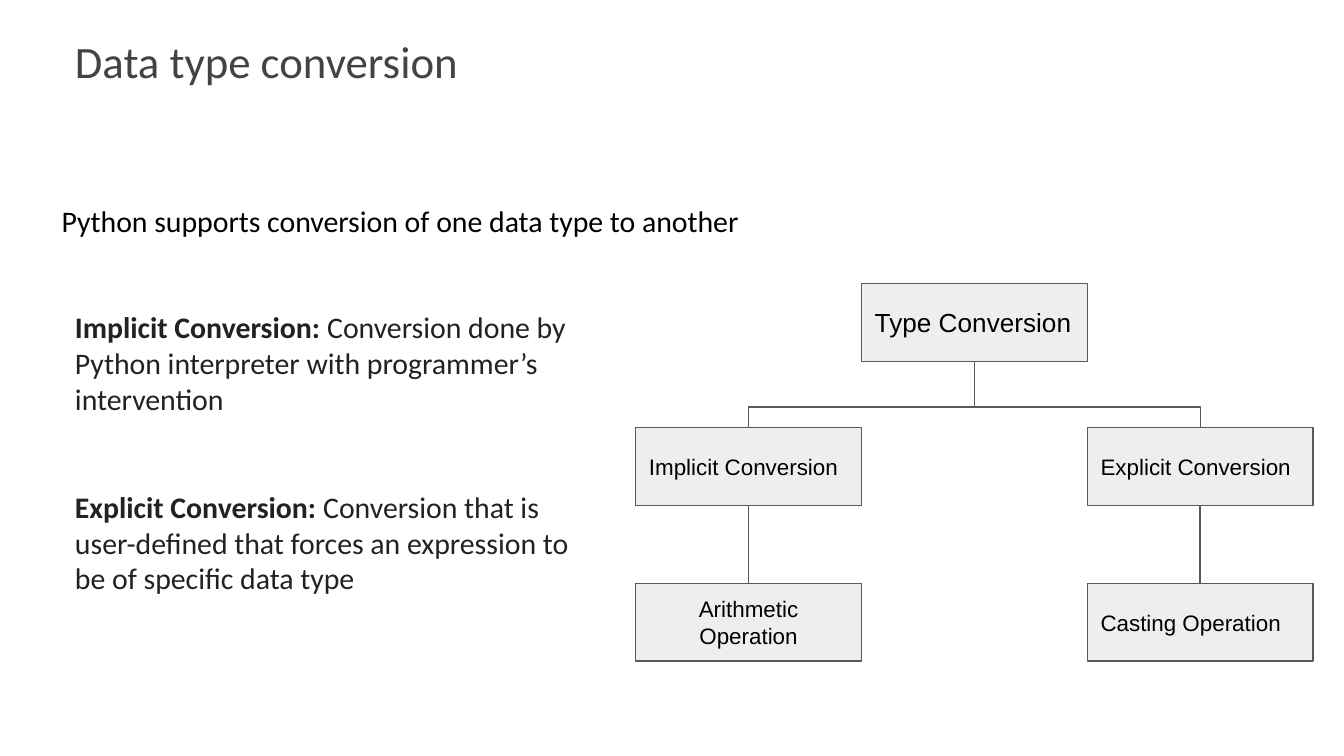
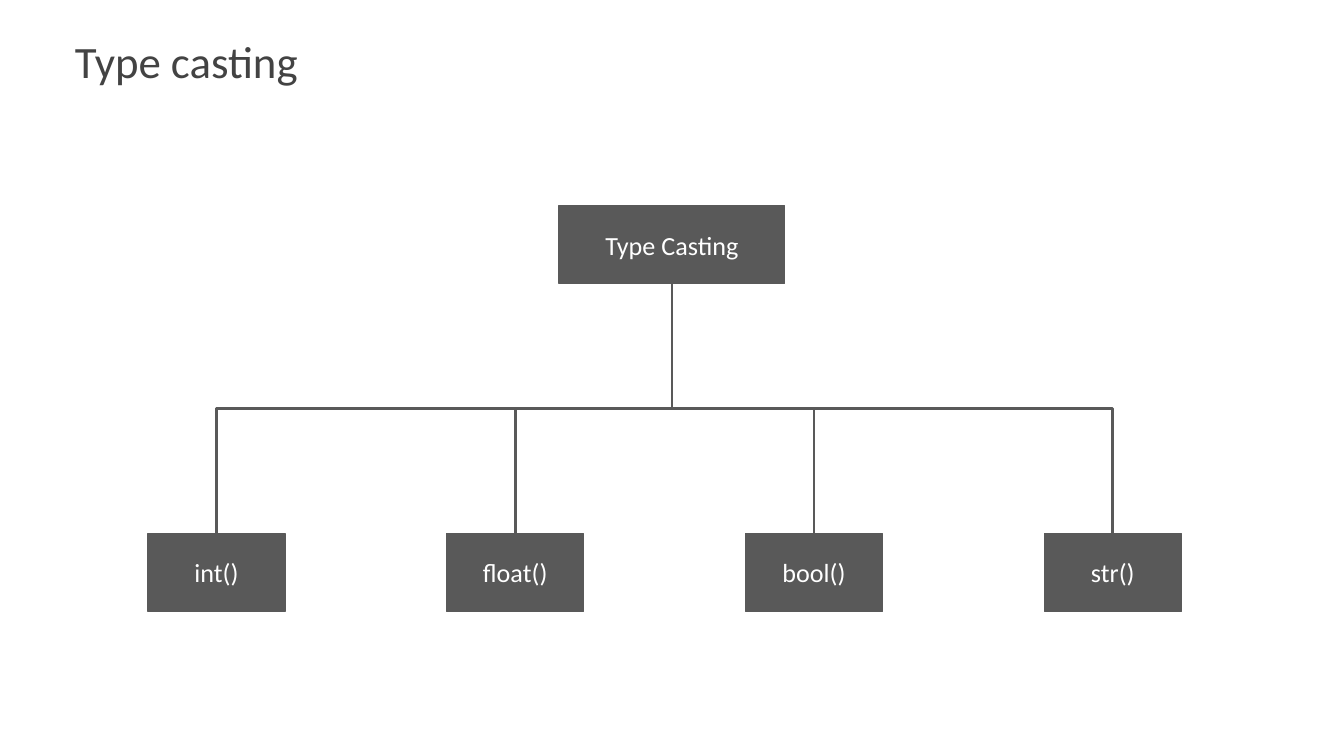
from dataclasses import dataclass

from lxml import etree
from pptx import Presentation
from pptx.dml.color import RGBColor
from pptx.enum.shapes import MSO_CONNECTOR, MSO_SHAPE
from pptx.enum.text import MSO_ANCHOR, PP_ALIGN
from pptx.oxml.ns import qn
from pptx.util import Inches, Pt

RECT = MSO_SHAPE.RECTANGLE
ELBOW, STRAIGHT = MSO_CONNECTOR.ELBOW, MSO_CONNECTOR.STRAIGHT
TOP, MIDDLE = MSO_ANCHOR.TOP, MSO_ANCHOR.MIDDLE
LEFT, CENTER = PP_ALIGN.LEFT, PP_ALIGN.CENTER


@dataclass(frozen=True)
class Theme:
    white: str = "FFFFFF"
    black: str = "000000"
    title: str = "434343"
    ink: str = "222222"
    dark: str = "595959"
    pale: str = "EEEEEE"
    body: str = "Calibri"
    label: str = "Arial"
    head: int = 24
    text: int = 16
    node: int = 14
    small: int = 12
    thin: float = 0.75
    thick: float = 1.5
    inset: float = 0.1


T = Theme()
PAGE_W = 10
PAGE_H = PAGE_W * 9 / 16
NODE_W, NODE_H = 1.68, 0.58


def rgb(code):
    return RGBColor.from_string(code)


def write(frame, *paras, size=T.text, font=T.body, color=T.black,
          align=LEFT, anchor=TOP, gap=0):
    """Each paragraph is a list of (words, bold) runs; gap parts them."""
    frame.word_wrap = True
    frame.vertical_anchor = anchor
    frame.margin_left = frame.margin_right = Inches(T.inset)
    frame.margin_top = frame.margin_bottom = Inches(T.inset)
    for i, runs in enumerate(paras):
        para = frame.add_paragraph() if i else frame.paragraphs[0]
        para.alignment = align
        para.space_before = Pt(gap if i else 0)
        for words, bold in runs:
            run = para.add_run()
            run.text = words
            run.font.size, run.font.name = Pt(size), font
            run.font.bold = bold
            run.font.color.rgb = rgb(color)


def text(slide, box, *paras, **style):
    area = slide.shapes.add_textbox(*map(Inches, box))
    write(area.text_frame, *paras, **style)


def title(slide, words):
    text(slide, (0.46, 0.15, 8.43, 0.58), [(words, False)],
         size=T.head, color=T.title)


def node(shapes, x, y, words, width=NODE_W, fill=T.pale, **style):
    """Draw a labelled box; give back its centre x, top and bottom."""
    box = shapes.add_shape(RECT, *map(Inches, (x, y, width, NODE_H)))
    box.shadow.inherit = False
    box.fill.solid()
    box.fill.fore_color.rgb = rgb(fill)
    box.line.color.rgb = rgb(T.dark)
    box.line.width = Pt(T.thin)
    write(box.text_frame, [(words, False)], anchor=MIDDLE, **style)
    return x + width / 2, y, y + NODE_H


def link(shapes, upper, lower, weight=T.thin, bend=0.5):
    """Join the foot of one node to the top of another."""
    (x1, _, y1), (x2, y2, _) = upper, lower
    bent = abs(x2 - x1) > 0.01
    ends = (x1, y1, x2, y2)
    if bent:
        # An elbow leaves sideways, so lay it flat and turn it upright
        mx, my = (x1 + x2) / 2, (y1 + y2) / 2
        dx, dy = abs(x2 - x1) / 2, (y2 - y1) / 2
        side = 1 if x2 < x1 else -1
        ends = (mx - side * dy, my - dx, mx + side * dy, my + dx)
    line = shapes.add_connector(ELBOW if bent else STRAIGHT,
                                *map(Inches, ends))
    line.line.color.rgb = rgb(T.dark)
    line.line.width = Pt(weight)
    props = line._element.spPr
    etree.SubElement(props, qn("a:effectLst"))
    if bent:
        turn = 90 if x2 < x1 else 270
        props.find(qn("a:xfrm")).set("rot", str(turn * 60000))
        adjust = props.find(qn("a:prstGeom")).find(qn("a:avLst"))
        etree.SubElement(adjust, qn("a:gd"), name="adj1",
                         fmla=f"val {round(bend * 100000)}")


def kinds(slide, left, top):
    """Tree of conversion kinds: a root over two branches."""
    shapes = slide.shapes.add_group_shape().shapes
    root = node(shapes, left + NODE_W, top, "Type Conversion",
                size=T.node, font=T.label)
    branches = (("Implicit Conversion", "Arithmetic Operation", CENTER),
                ("Explicit Conversion", "Casting Operation", LEFT))
    for i, (name, leaf, align) in enumerate(branches):
        x = left + 2 * i * NODE_W
        mid = node(shapes, x, top + 1.07, name, size=T.small, font=T.label)
        end = node(shapes, x, top + 2.23, leaf, size=T.small, font=T.label,
                   align=align)
        link(shapes, root, mid, bend=0.69)
        link(shapes, mid, end)


def casts(slide, left, top, width, height):
    """Tree of cast functions: a root over an even row of leaves."""
    look = dict(fill=T.dark, color=T.white, size=T.node, align=CENTER)
    names = ("int()", "float()", "bool()", "str()")
    leaf = 1.02
    step = (width - leaf) / (len(names) - 1)
    root = node(slide.shapes, left + 3.06, top, "Type Casting", **look)
    for i, name in enumerate(names):
        end = node(slide.shapes, left + i * step, top + height - NODE_H,
                   name, width=leaf, **look)
        link(slide.shapes, root, end, weight=T.thick)


def convert(slide):
    title(slide, "Data type conversion")
    # Lead sentence
    text(slide, (0.36, 1.41, 9.41, 0.63),
         [("Python supports conversion of one data type to another", False)])
    kinds(slide, 4.73, 2.11)
    # Definitions
    text(slide, (0.46, 2.2, 3.93, 2.51),
         [("Implicit Conversion:", True),
          (" Conversion done by Python interpreter with programmer’s "
           "intervention", False)],
         [("Explicit Conversion:", True),
          (" Conversion that is user-defined that forces an expression "
           "to be of specific data type", False)],
         color=T.ink, gap=38.5)


def casting(slide):
    title(slide, "Type casting")
    casts(slide, 1.1, 1.53, 7.69, 3.02)


def main():
    deck = Presentation()
    deck.slide_width, deck.slide_height = Inches(PAGE_W), Inches(PAGE_H)
    for build in (convert, casting):
        slide = deck.slides.add_slide(deck.slide_layouts[6])
        slide.background.fill.solid()
        slide.background.fill.fore_color.rgb = rgb(T.white)
        build(slide)
    deck.save("out.pptx")


if __name__ == "__main__":
    main()
